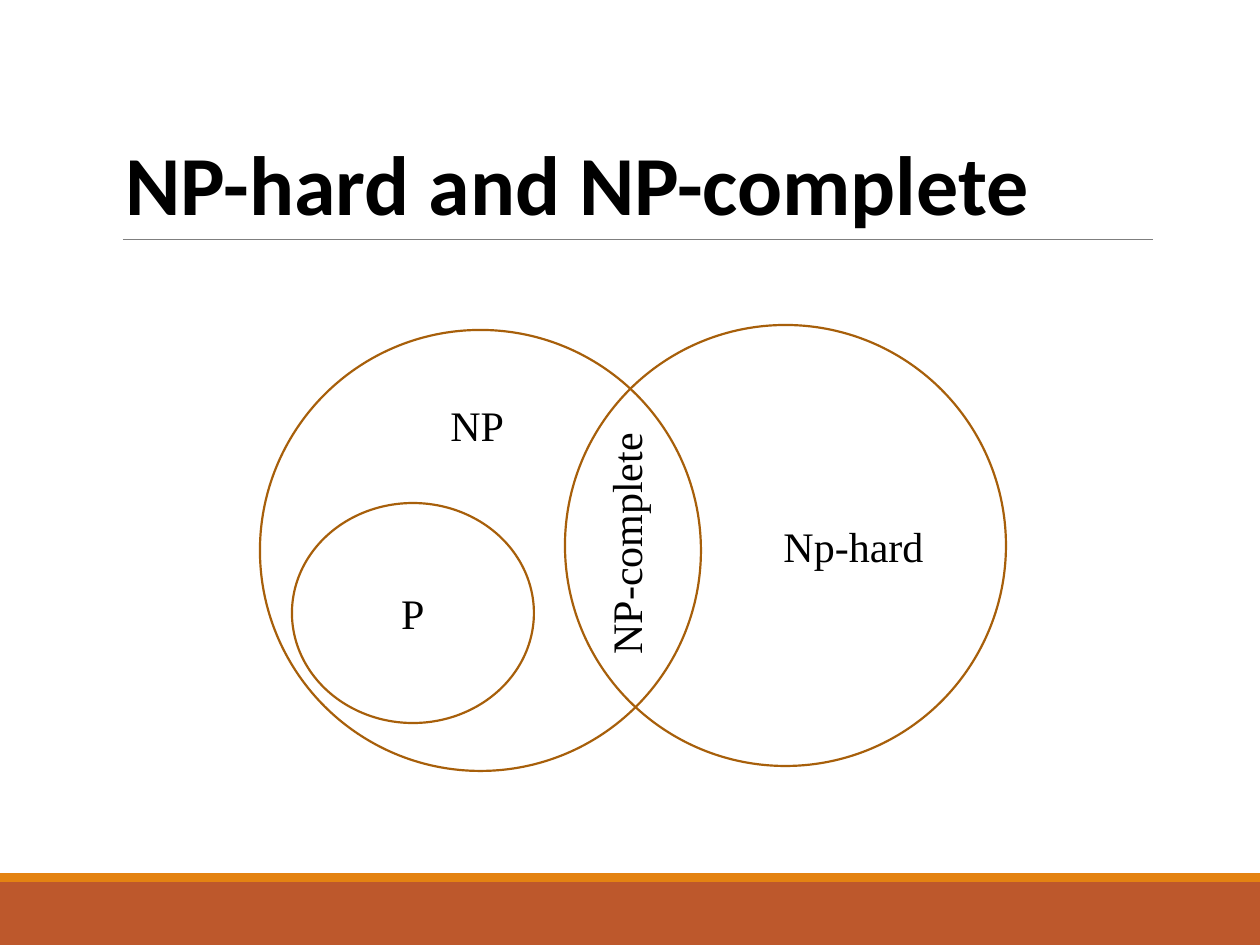
from lxml.etree import SubElement
from pptx import Presentation
from pptx.dml.color import RGBColor
from pptx.enum.shapes import MSO_CONNECTOR as Link, MSO_SHAPE as Kind
from pptx.enum.text import MSO_ANCHOR as Anchor, MSO_AUTO_SIZE as Fit, PP_ALIGN as Align
from pptx.oxml.ns import qn
from pptx.util import Emu, Pt

SCALE = 914400 / 126
INK, RUST, AMBER, BROWN, GREY = "000000", "BD582C", "E48312", "A75F0A", "7F7F7F"
SERIF = "Times New Roman"


def px(num):
    return Emu(round(num * SCALE))


def tint(code):
    return RGBColor.from_string(code)


class Deck:
    """Hold the style and the current slide, and draw each kind of element."""

    def __init__(self, wide, high):
        self.show = Presentation()
        self.show.slide_width, self.show.slide_height = px(wide), px(high)
        self.page = self.show.slides.add_slide(self.show.slide_layouts[5])
        self.group = None

    def words(self, frame, text, size=24, face=SERIF, bold=False, align=Align.LEFT):
        frame.text = text
        para = frame.paragraphs[0]
        para.alignment = align
        font = para.runs[0].font
        font.size, font.name, font.bold = Pt(size), face, bold
        font.color.rgb = tint(INK)
        return para

    def title(self, text, *box):
        head = self.page.shapes.title
        head.left, head.top, head.width, head.height = map(px, box)
        frame = head.text_frame
        frame.auto_size, frame.vertical_anchor = Fit.NONE, Anchor.BOTTOM
        self.words(frame, text, 48, "Calibri", True).line_spacing = 0.85

    def band(self, color, *box):
        bar = self.page.shapes.add_shape(Kind.RECTANGLE, *map(px, box))
        bar.shadow.inherit = False
        bar.fill.solid()
        bar.fill.fore_color.rgb = tint(color)
        bar.line.fill.background()

    def rule(self, *ends):
        line = self.page.shapes.add_connector(Link.STRAIGHT, *map(px, ends))
        line.line.color.rgb, line.line.width = tint(GREY), Pt(0.5)
        SubElement(line._element.spPr, qn("a:effectLst"))

    def start(self):
        self.group = self.page.shapes.add_group_shape()

    def ring(self, *box, text="", inset=None):
        oval = self.group.shapes.add_shape(Kind.OVAL, *map(px, box))
        oval.shadow.inherit = False
        oval.fill.background()
        oval.line.color.rgb, oval.line.width = tint(BROWN), Pt(1.25)
        if text:
            frame = oval.text_frame
            frame.vertical_anchor = Anchor.MIDDLE
            if inset:
                frame.margin_left, frame.margin_right = px(inset), 0
            self.words(frame, text, align=Align.CENTER)

    def label(self, text, *box, turn=0):
        note = self.group.shapes.add_textbox(*map(px, box))
        note.rotation = turn
        note.text_frame.word_wrap = True
        self.words(note.text_frame, text)

    def save(self):
        self.show.save("out.pptx")


def main():
    deck = Deck(1260, 945)
    deck.band(RUST, 0, 882, 1260, 63)
    deck.band(AMBER, 0, 873, 1260, 9)
    deck.rule(123, 239, 1153, 239)
    deck.title("NP-hard and NP-complete", 113, 39, 1040, 200)
    deck.start()
    deck.ring(260, 330, 441, 441)
    deck.ring(292, 503, 242, 220, text="P")
    deck.label("NP", 438, 393, 116, 63)
    deck.ring(565, 325, 441, 441, text="Np-hard", inset=136)
    deck.label("NP-complete", 494, 504, 263, 63, turn=270)
    deck.save()


if __name__ == "__main__":
    main()
